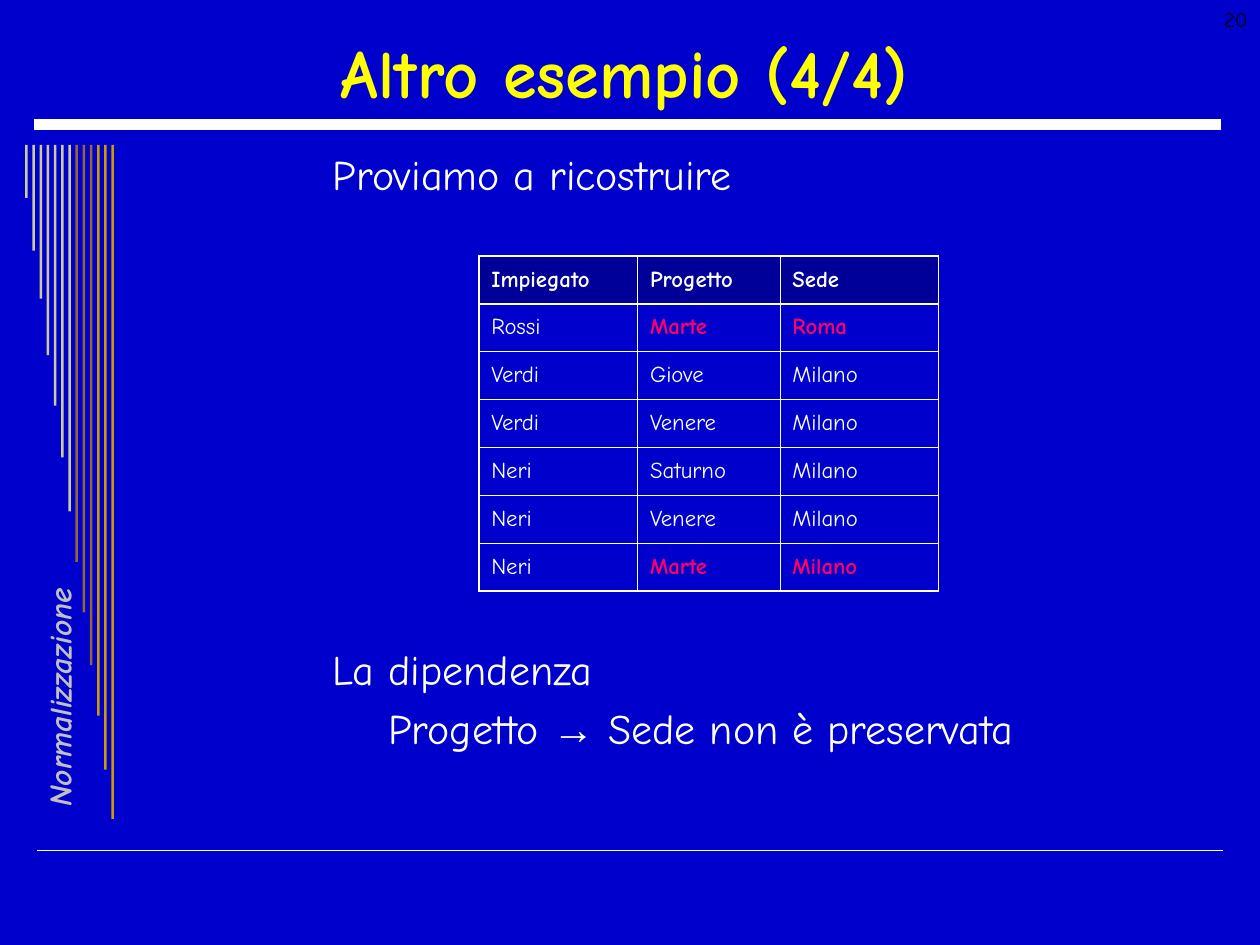
from lxml import etree
from pptx import Presentation
from pptx.dml.color import RGBColor
from pptx.enum.shapes import MSO_CONNECTOR, MSO_SHAPE
from pptx.enum.text import MSO_ANCHOR, PP_ALIGN
from pptx.oxml.ns import qn
from pptx.util import Inches, Pt

LEFT, CENTER, RIGHT = PP_ALIGN.LEFT, PP_ALIGN.CENTER, PP_ALIGN.RIGHT
TOP, MIDDLE = MSO_ANCHOR.TOP, MSO_ANCHOR.MIDDLE
FONT, ARROW_FONT = "Comic Neue", "Arial"
COLORS = {
    "background": "0000CC", "header": "000099", "white": "FFFFFF",
    "title": "FFFF00", "conflict": "FF0066", "section": "C0C0C0",
    "number": "000000", "sand": "CCCC99", "brown": "996633", "gold": "CC9900",
}

TITLE = "Altro esempio (4/4)"
SECTION = "Normalizzazione"
PAGE_NUMBER = "20"
INTRO = "Proviamo a ricostruire"
CONCLUSION = "La dipendenza"
DEPENDENCY = [("Progetto ", FONT), ("→", ARROW_FONT),
              (" Sede non è preservata", FONT)]
RELATION = [
    ("Impiegato", "Progetto", "Sede"),
    ("Rossi", "Marte", "Roma"),
    ("Verdi", "Giove", "Milano"),
    ("Verdi", "Venere", "Milano"),
    ("Neri", "Saturno", "Milano"),
    ("Neri", "Venere", "Milano"),
    ("Neri", "Marte", "Milano"),
]
CONFLICT_PROJECT = "Marte"

RULES = [(0.29, 9.71, 6.75, 1), (0.27, 9.69, 0.99, 6)]  # left, right, y, points
BAR_LEFT, BAR_TOP, BAR_STEP, BAR_WIDTH = 0.2, 1.15, 0.057, 0.02
BARS = [
    ("sand", [0.42, 0.84, 1.22, 1.67, 2.07, 2.48, 2.91]),
    ("brown", [3.31, 3.71, 4.13]),
    ("gold", [4.53, 4.96, 5.35]),
]
COLUMN_WIDTHS = [0.24, 1.26, 1.26, 1.13, 1.26, 1.13, 0.24]
ROW_HEIGHTS = [0.5] + [0.38] * 9 + [0.99]
FIRST_ROW, FIRST_COLUMN = 2, 2
THICK, THIN = 1.08, 0.45
NO_STYLE = "{2D5ABB26-0587-4C30-8999-92F81FD0307C}"


def rgb(name):
    return RGBColor.from_string(COLORS[name])


def add_run(paragraph, text, size, color="white", bold=False, italic=False, font=FONT):
    run = paragraph.add_run()
    run.text = text
    run.font.name = font
    run.font.size = Pt(size)
    run.font.bold = bold
    run.font.italic = italic
    run.font.color.rgb = rgb(color)


def add_label(slide, box, text, size, color, align=LEFT, anchor=TOP, wrap=True,
              rotation=0, **style):
    label = slide.shapes.add_textbox(*map(Inches, box))
    label.rotation = rotation
    frame = label.text_frame
    frame.word_wrap = wrap
    frame.vertical_anchor = anchor
    paragraph = frame.paragraphs[0]
    paragraph.alignment = align
    add_run(paragraph, text, size, color, **style)


def add_rule(slide, left, right, y, width):
    rule = slide.shapes.add_connector(
        MSO_CONNECTOR.STRAIGHT, Inches(left), Inches(y), Inches(right), Inches(y))
    rule.line.color.rgb = rgb("white")
    rule.line.width = Pt(width)
    etree.SubElement(rule._element.spPr, qn("a:effectLst"))


def add_bars(slide):
    group = slide.shapes.add_group_shape()
    bars = [(color, height) for color, heights in BARS for height in heights]
    for i, (color, height) in enumerate(bars):
        bar = group.shapes.add_shape(
            MSO_SHAPE.RECTANGLE, Inches(BAR_LEFT + i * BAR_STEP), Inches(BAR_TOP),
            Inches(BAR_WIDTH), Inches(height))
        bar.shadow.inherit = False
        bar.fill.solid()
        bar.fill.fore_color.rgb = rgb(color)
        bar.line.fill.background()


def set_borders(cell, left, right, top, bottom):
    properties = cell._tc.get_or_add_tcPr()
    for side, width in zip("LRTB", (left, right, top, bottom)):
        line = etree.SubElement(properties, qn(f"a:ln{side}"), w=str(Pt(width)))
        fill = etree.SubElement(line, qn("a:solidFill"))
        etree.SubElement(fill, qn("a:srgbClr"), val=COLORS["white"])


def fill_relation(table):
    last_row, last_column = len(RELATION) - 1, len(RELATION[0]) - 1
    for i, record in enumerate(RELATION):
        for j, value in enumerate(record):
            cell = table.cell(FIRST_ROW + i, FIRST_COLUMN + j)
            conflict = record[1] == CONFLICT_PROJECT and j > 0
            add_run(cell.text_frame.paragraphs[0], value, 13,
                    "conflict" if conflict else "white", bold=conflict or i == 0)
            set_borders(cell,
                        THICK if j == 0 else THIN,
                        THICK if j == last_column else THIN,
                        THICK if i <= 1 else THIN,
                        THICK if i in (0, last_row) else THIN)
            if i == 0:
                cell.fill.solid()
                cell.fill.fore_color.rgb = rgb("header")


def add_content_table(slide):
    table = slide.shapes.add_table(
        len(ROW_HEIGHTS), len(COLUMN_WIDTHS), Inches(2.3), Inches(1.15),
        Inches(sum(COLUMN_WIDTHS)), Inches(sum(ROW_HEIGHTS))).table
    table.first_row = table.horz_banding = False
    table._tbl.tblPr.find(qn("a:tableStyleId")).text = NO_STYLE
    for column, width in zip(table.columns, COLUMN_WIDTHS):
        column.width = Inches(width)
    for row, height in zip(table.rows, ROW_HEIGHTS):
        row.height = Inches(height)

    for cell in table.iter_cells():
        cell.vertical_anchor = MIDDLE
        cell.margin_left = cell.margin_right = Inches(0.1)
        cell.margin_top = cell.margin_bottom = Inches(0.05)
    fill_relation(table)

    intro, conclusion = table.cell(0, 1), table.cell(len(ROW_HEIGHTS) - 1, 1)
    for cell, text in ((intro, INTRO), (conclusion, CONCLUSION)):
        cell.merge(table.cell(len(ROW_HEIGHTS) - 1 if cell is conclusion else 0, 5))
        add_run(cell.text_frame.paragraphs[0], text, 24)
    dependency = conclusion.text_frame.add_paragraph()
    dependency.alignment = CENTER
    dependency.space_before = Pt(6)
    for text, font in DEPENDENCY:
        add_run(dependency, text, 24, font=font)

    for cell in table.iter_cells():
        if not cell.text_frame.text:
            cell.fill.background()
            # A small size keeps empty cells from stretching their row
            etree.SubElement(cell.text_frame.paragraphs[0]._p,
                             qn("a:endParaRPr"), sz="1300")
        elif cell in (intro, conclusion):
            cell.fill.background()


def main():
    deck = Presentation()
    deck.slide_width, deck.slide_height = Inches(10), Inches(7.5)
    slide = deck.slides.add_slide(deck.slide_layouts[6])
    slide.background.fill.solid()
    slide.background.fill.fore_color.rgb = rgb("background")

    for rule in RULES:
        add_rule(slide, *rule)
    add_bars(slide)
    add_label(slide, (-0.75, 5.24, 2.28, 0.24), SECTION, 18, "section",
              wrap=False, rotation=270, bold=True, italic=True)
    add_label(slide, (0.35, 0.21, 9.21, 0.71), TITLE, 39, "title",
              CENTER, MIDDLE, bold=True)
    add_content_table(slide)
    add_label(slide, (7.67, 0, 2.33, 0.5), PAGE_NUMBER, 12, "number", RIGHT)
    deck.save("out.pptx")


if __name__ == "__main__":
    main()
